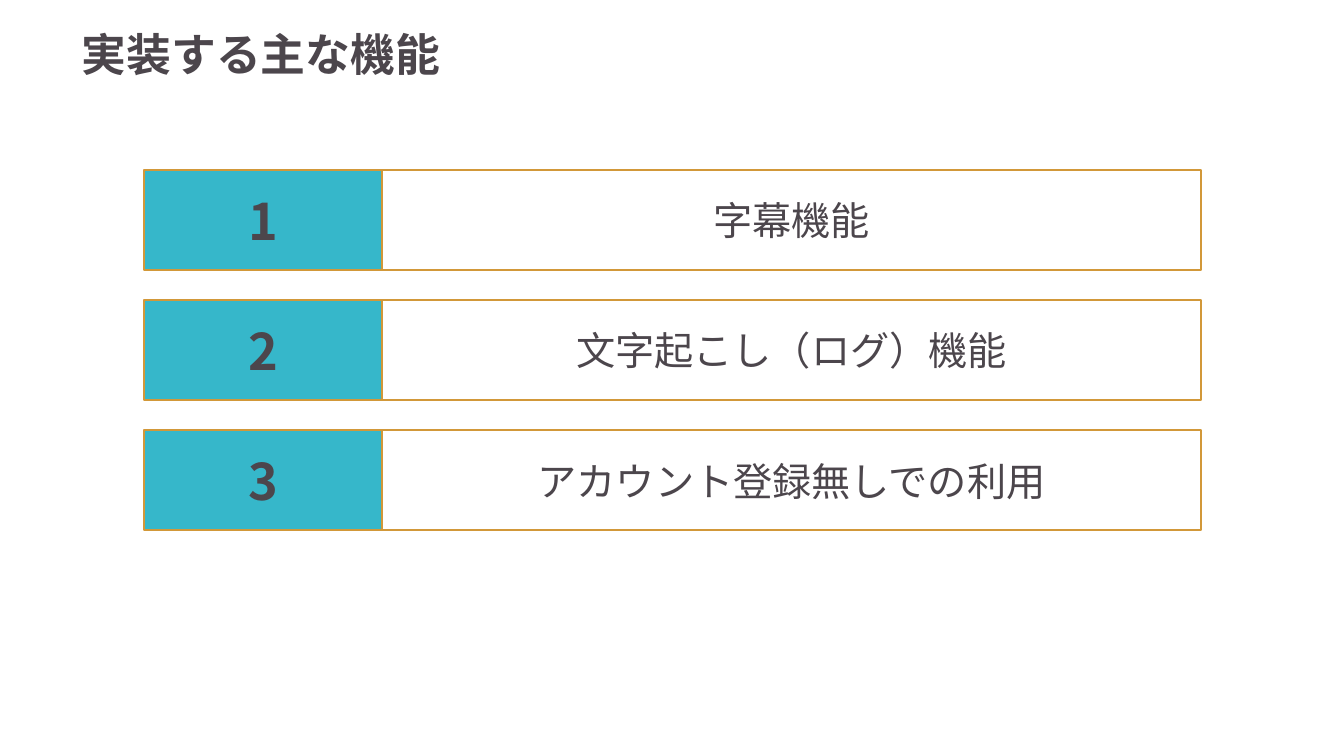
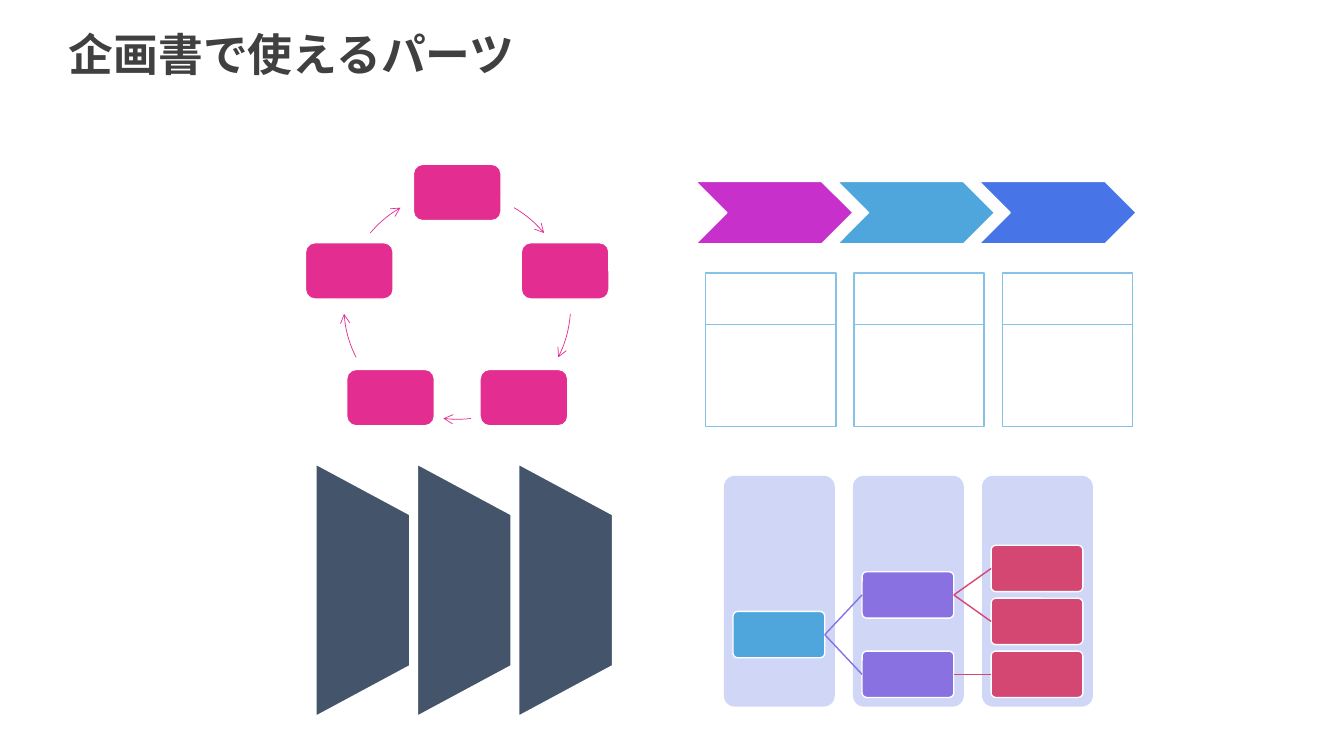
import math
from dataclasses import dataclass

from lxml import etree
from pptx import Presentation
from pptx.dml.color import RGBColor
from pptx.enum.shapes import MSO_CONNECTOR, MSO_SHAPE
from pptx.enum.text import MSO_ANCHOR, MSO_AUTO_SIZE, PP_ALIGN
from pptx.oxml.ns import qn
from pptx.util import Inches, Pt

RECTANGLE = MSO_SHAPE.RECTANGLE
ROUNDED = MSO_SHAPE.ROUNDED_RECTANGLE
CHEVRON = MSO_SHAPE.CHEVRON
TRAPEZOID = MSO_SHAPE.FLOWCHART_MANUAL_OPERATION
STRAIGHT = MSO_CONNECTOR.STRAIGHT
LEFT, CENTER = PP_ALIGN.LEFT, PP_ALIGN.CENTER
MIDDLE = MSO_ANCHOR.MIDDLE
TITLE_ONLY = 5
LEFT_SIDE, RIGHT_SIDE = 1, 3


@dataclass(frozen=True)
class Theme:
    font: str = "Noto Sans CJK JP"
    title_size: int = 32
    number_size: int = 36
    label_size: int = 28
    text: str = "4C464C"
    dark_text: str = "404040"
    white: str = "FFFFFF"
    teal: str = "36B7CA"
    gold: str = "D29839"
    slate: str = "44546A"
    pink: str = "E32D91"
    magenta: str = "C830CC"
    sky: str = "4EA6DC"
    blue: str = "4775E7"
    pale_sky: str = "85C2E7"
    lavender: str = "CFD6F6"
    violet: str = "8971E1"
    rose: str = "D54773"


@dataclass(frozen=True)
class Grid:
    """Evenly spaced places, in inches; fractional rows are allowed."""
    left: float
    top: float
    column_step: float = 0
    row_step: float = 0

    def place(self, column=0, row=0):
        return (self.left + column * self.column_step,
                self.top + row * self.row_step)


THEME = Theme()


# Shared elements
def color(value):
    return RGBColor.from_string(value)


def set_line(line, value, width):
    line.color.rgb = color(value)
    line.width = Pt(width)


def write_text(shape, text, size, text_color, bold=False, align=CENTER):
    frame = shape.text_frame
    frame.text = text
    frame.vertical_anchor = MIDDLE
    paragraph = frame.paragraphs[0]
    paragraph.alignment = align
    font = paragraph.font
    font.name = THEME.font
    font.size = Pt(size)
    font.bold = bold
    font.color.rgb = color(text_color)
    properties = paragraph._p.pPr.find(qn("a:defRPr"))
    etree.SubElement(properties, qn("a:ea"), typeface=THEME.font)


def add_title_slide(presentation, text, left, width, text_color):
    slide = presentation.slides.add_slide(
        presentation.slide_layouts[TITLE_ONLY])
    title = slide.shapes.title
    title.left, title.top = Inches(left), Inches(0.21)
    title.width, title.height = Inches(width), Inches(0.64)
    write_text(title, text, THEME.title_size, text_color, True, LEFT)
    title.text_frame.word_wrap = False
    title.text_frame.auto_size = MSO_AUTO_SIZE.NONE
    return slide


def add_box(slide, kind, place, size, fill, line=THEME.white, width=1,
            corner=None):
    shape = slide.shapes.add_shape(
        kind, *(Inches(length) for length in (*place, *size)))
    shape.shadow.inherit = False
    shape.fill.solid()
    shape.fill.fore_color.rgb = color(fill)
    if line:
        set_line(shape.line, line, width)
    else:
        shape.line.fill.background()
    if corner is not None:
        shape.adjustments[0] = corner
    return shape


def add_arc_arrow(slide, center, radius, start, end, line_color, steps=10):
    points = []
    for step in range(steps + 1):
        angle = math.radians(start + (end - start) * step / steps)
        points.append((Inches(center[0] + radius * math.cos(angle)),
                       Inches(center[1] + radius * math.sin(angle))))
    builder = slide.shapes.build_freeform(*points[0])
    builder.add_line_segments(points[1:], close=False)
    arc = builder.convert_to_shape()
    arc.shadow.inherit = False
    arc.fill.background()
    set_line(arc.line, line_color, 0.5)
    etree.SubElement(arc.line._get_or_add_ln(), qn("a:tailEnd"), type="arrow")


def join_boxes(slide, parent, child, line_color):
    connector = slide.shapes.add_connector(STRAIGHT, 0, 0, 0, 0)
    connector.begin_connect(parent, RIGHT_SIDE)
    connector.end_connect(child, LEFT_SIDE)
    set_line(connector.line, line_color, 1)
    etree.SubElement(connector._element.spPr, qn("a:effectLst"))


# Feature list
def add_features(slide, features):
    grid = Grid(1.43, 1.69, column_step=2.36, row_step=1.29)
    columns = ((2.36, THEME.teal, THEME.number_size, True),
               (8.12, THEME.white, THEME.label_size, False))
    for row, feature in enumerate(features):
        texts = (str(row + 1), feature)
        for column, (width, fill, size, bold) in enumerate(columns):
            box = add_box(slide, RECTANGLE, grid.place(column, row),
                          (width, 0.99), fill, THEME.gold, 1.5)
            write_text(box, texts[column], size, THEME.text, bold)


# Diagram parts
def add_trapezoids(slide):
    grid = Grid(2.35, 5.39, column_step=1.005)
    for column in range(3):
        shape = add_box(slide, TRAPEZOID, grid.place(column), (2.5, 0.93),
                        THEME.slate)
        shape.rotation = 270


def add_cycle(slide):
    center, radius = (4.535, 3.035), 1.125
    width, height = 0.87, 0.56
    arcs = ((-60, -40), (4, 27), (83, 97), (153, 176), (220, 240))
    for index, (start, end) in enumerate(arcs):
        angle = math.radians(index * 360 / len(arcs) - 90)
        place = (center[0] + radius * math.cos(angle) - width / 2,
                 center[1] + radius * math.sin(angle) - height / 2)
        add_box(slide, ROUNDED, place, (width, height), THEME.pink)
        add_arc_arrow(slide, center, radius, start, end, THEME.pink)


def add_chevrons(slide):
    grid = Grid(6.9, 1.8, column_step=1.405)
    for column, fill in enumerate((THEME.magenta, THEME.sky, THEME.blue)):
        add_box(slide, CHEVRON, grid.place(column), (1.56, 0.62), fill)


def add_cards(slide):
    grid = Grid(7, 2.71, column_step=1.47, row_step=0.51)
    for column in range(3):
        for row, height in enumerate((0.51, 1.01)):
            add_box(slide, RECTANGLE, grid.place(column, row),
                    (1.29, height), THEME.white, THEME.pale_sky)


def add_tree(slide):
    panels = Grid(7.18, 4.72, column_step=1.28)
    nodes = Grid(7.27, 5.41, column_step=1.28, row_step=0.525)
    fills = (THEME.sky, THEME.violet, THEME.rose)
    for column in range(3):
        add_box(slide, ROUNDED, panels.place(column), (1.1, 2.29),
                THEME.lavender, line=None, corner=0.1)

    def add_branch(column, row, children=()):
        node = add_box(slide, ROUNDED, nodes.place(column, row),
                       (0.91, 0.46), fills[column], corner=0.1)
        for child in children:
            join_boxes(slide, node, add_branch(column + 1, *child),
                       fills[column + 1])
        return node

    add_branch(0, 1.25, ((0.5, ((0,), (1,))), (2, ((2,),))))


def main():
    presentation = Presentation()
    presentation.slide_width = Inches(13.33)
    presentation.slide_height = Inches(7.5)

    features = add_title_slide(presentation, "実装する主な機能",
                               0.71, 3.79, THEME.text)
    add_features(features, ("字幕機能", "文字起こし（ログ）機能",
                            "アカウント登録無しでの利用"))

    parts = add_title_slide(presentation, "企画書で使えるパーツ",
                            0.58, 4.69, THEME.dark_text)
    for add_part in (add_trapezoids, add_cycle, add_chevrons, add_cards,
                     add_tree):
        add_part(parts)

    presentation.save("out.pptx")


if __name__ == "__main__":
    main()
